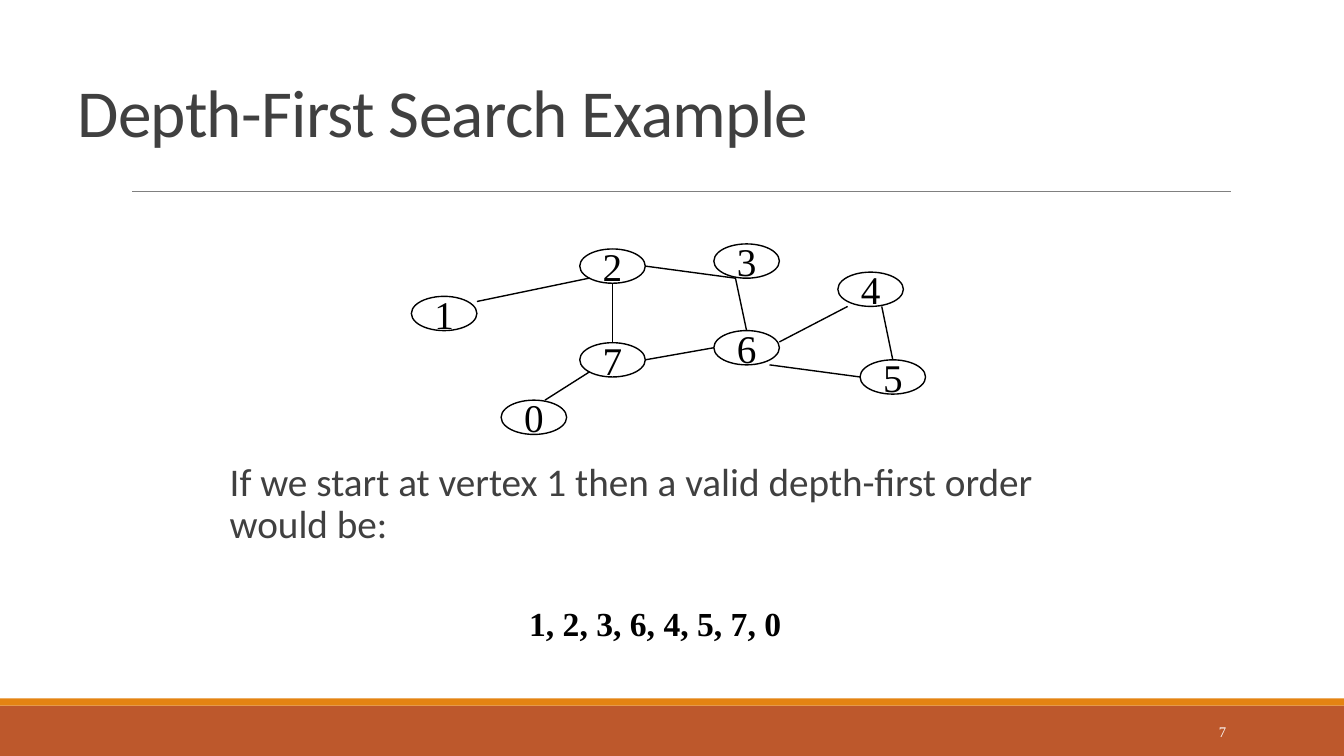
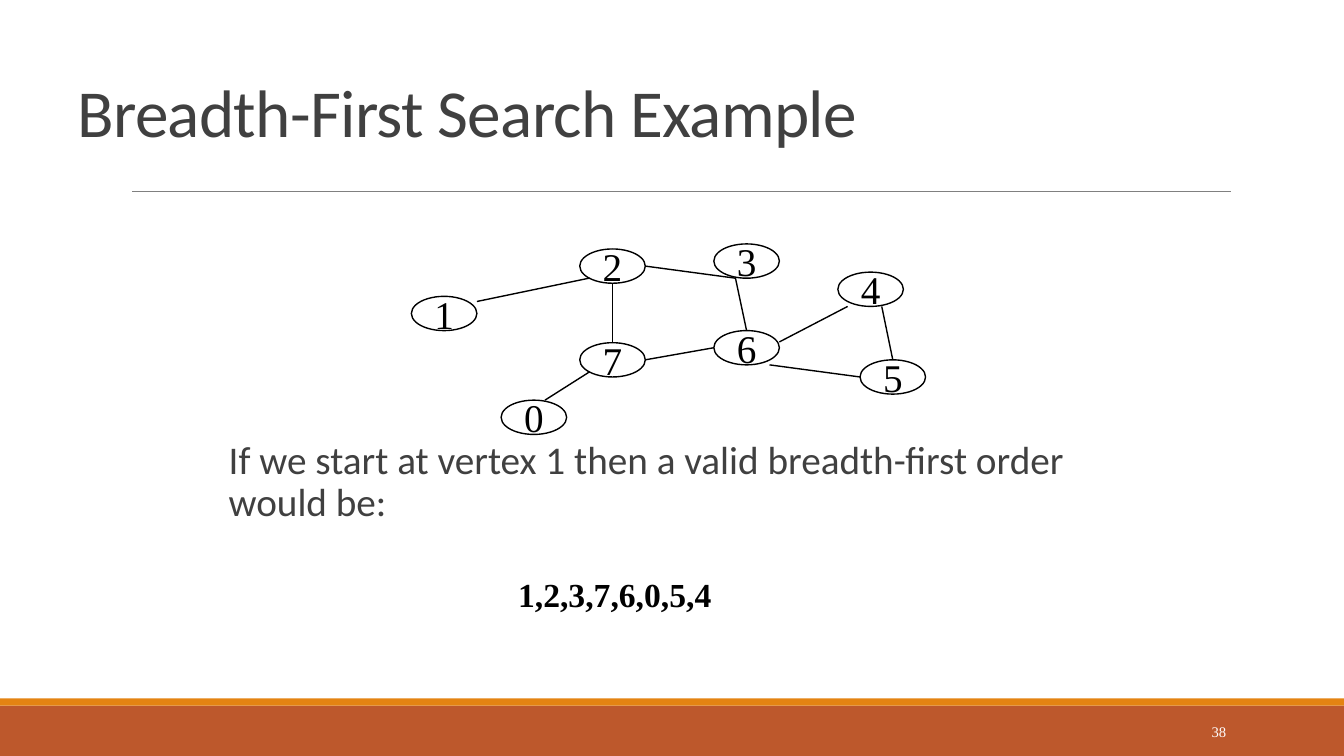
import dataclasses
import typing

import pptx
import pptx.dml.color
import pptx.enum.shapes
import pptx.enum.text
import pptx.oxml.ns
import pptx.util
from lxml import etree

Inches = pptx.util.Inches
Pt = pptx.util.Pt
Shapes = pptx.enum.shapes.MSO_SHAPE
Anchor = pptx.enum.text.MSO_ANCHOR
Align = pptx.enum.text.PP_ALIGN

SANS = "Calibri"
SERIF = "Times New Roman"
BLACK = "000000"
WHITE = "FFFFFF"
DARK = "404040"
RULE = "808080"
RUST = "BD582C"
ORANGE = "E48312"

SLIDE_W, SLIDE_H = 13.33, 7.5
NODE_W, NODE_H = 0.65, 0.34


@dataclasses.dataclass(frozen=True)
class Box:
    left: float
    top: float
    width: float
    height: float

    def lengths(self) -> tuple:
        return tuple(Inches(v) for v in (self.left, self.top, self.width, self.height))

    def at(self, fx: float, fy: float) -> tuple[float, float]:
        return self.left + fx * self.width, self.top + fy * self.height


@dataclasses.dataclass(frozen=True)
class Style:
    size: float
    font: str
    color: str
    bold: bool = False
    align: Align = Align.LEFT
    anchor: Anchor = Anchor.TOP
    line_spacing: float = 1.0
    tracking: float = 0
    wrap: bool = True


@dataclasses.dataclass(frozen=True)
class Edge:
    start: str
    start_at: tuple[float, float]
    end: str
    end_at: tuple[float, float]


@dataclasses.dataclass(frozen=True)
class SearchSlide:
    title: str
    number: str
    prompt: str
    prompt_box: Box
    order: str
    order_box: Box
    order_level: int


TITLE = Style(48, SANS, DARK, anchor=Anchor.BOTTOM, line_spacing=0.85, tracking=-0.5)
PROMPT = Style(28, SANS, DARK, line_spacing=0.9)
ORDER = Style(24, SERIF, BLACK, bold=True, wrap=False)
NUMBER = Style(10.5, SERIF, WHITE, align=Align.RIGHT, anchor=Anchor.MIDDLE)
NODE = Style(28, SERIF, BLACK, align=Align.CENTER, anchor=Anchor.MIDDLE, wrap=False)

NODES = {
    label: Box(left, top, NODE_W, NODE_H)
    for label, left, top in (
        ("2", 5.75, 2.47),
        ("5", 8.53, 3.57),
        ("3", 7.08, 2.42),
        ("0", 4.97, 3.97),
        ("6", 7.08, 3.28),
        ("4", 8.31, 2.7),
        ("7", 5.75, 3.4),
        ("1", 4.08, 2.94),
    )
}

TOP, LEFT, BOTTOM, RIGHT = (0.5, 0), (0, 0.5), (0.5, 1), (1, 0.5)
LOWER_LEFT = (0.15, 0.85)

EDGES = (
    Edge("1", (1, 0.15), "2", LOWER_LEFT),
    Edge("2", BOTTOM, "7", TOP),
    Edge("7", RIGHT, "6", LEFT),
    Edge("0", (0.67, 0), "7", LOWER_LEFT),
    Edge("3", (0.33, 1), "2", RIGHT),
    Edge("3", (0.33, 1), "6", TOP),
    Edge("4", (0.15, 1), "6", (1, 0.33)),
    Edge("4", (0.67, 1), "5", TOP),
    Edge("6", (0.85, 1), "5", LEFT),
)

SLIDES = (
    SearchSlide(
        "Depth-First Search Example", "7",
        "If we start at vertex 1 then a valid depth-first order would be:",
        Box(2.18, 4.54, 9, 2.38),
        "1, 2, 3, 6, 4, 5, 7, 0", Box(4.15, 5.93, 3.74, 0.5), 2,
    ),
    SearchSlide(
        "Breadth-First Search Example", "38",
        "If we start at vertex 1 then a valid breadth-first order would be:",
        Box(2.17, 4.32, 9, 2.38),
        "1,2,3,7,6,0,5,4", Box(4.54, 5.64, 2.64, 0.5), 1,
    ),
)


def rgb(color: str) -> pptx.dml.color.RGBColor:
    return pptx.dml.color.RGBColor.from_string(color)


def write(sp: typing.Any, text: str, style: Style, level: int = 0) -> None:
    tf = sp.text_frame
    tf.word_wrap = style.wrap
    tf.vertical_anchor = style.anchor
    p = tf.paragraphs[0]
    p.alignment = style.align
    p.line_spacing = style.line_spacing
    if level:
        p.level = level
        pPr = p._p.get_or_add_pPr()
        pPr.set("marL", str(Inches(0.5 * level)))
        pPr.set("indent", "0")
    r = p.add_run()
    r.text = text
    r.font.size = Pt(style.size)
    r.font.name = style.font
    r.font.bold = style.bold
    r.font.color.rgb = rgb(style.color)
    if style.tracking:
        r._r.get_or_add_rPr().set("spc", str(int(style.tracking * 100)))


def add_text(slide: typing.Any, box: Box, text: str, style: Style, level: int = 0) -> None:
    write(slide.shapes.add_textbox(*box.lengths()), text, style, level)


def add_band(slide: typing.Any, box: Box, color: str) -> None:
    sp = slide.shapes.add_shape(Shapes.RECTANGLE, *box.lengths())
    sp.shadow.inherit = False
    sp.fill.solid()
    sp.fill.fore_color.rgb = rgb(color)
    sp.line.fill.background()


def add_line(
    shapes: typing.Any,
    start: tuple[float, float],
    end: tuple[float, float],
    color: str,
    width: float,
) -> None:
    line = shapes.add_connector(
        pptx.enum.shapes.MSO_CONNECTOR.STRAIGHT, *(Inches(v) for v in start + end)
    )
    line.line.color.rgb = rgb(color)
    line.line.width = Pt(width)
    etree.SubElement(line._element.spPr, pptx.oxml.ns.qn("a:effectLst"))


def add_node(shapes: typing.Any, label: str, box: Box) -> None:
    sp = shapes.add_shape(Shapes.OVAL, *box.lengths())
    sp.shadow.inherit = False
    sp.fill.background()
    sp.line.color.rgb = rgb(BLACK)
    sp.line.width = Pt(1)
    write(sp, label, NODE)


def add_graph(slide: typing.Any) -> None:
    shapes = slide.shapes.add_group_shape().shapes
    for label, box in NODES.items():
        add_node(shapes, label, box)
    for edge in EDGES:
        start = NODES[edge.start].at(*edge.start_at)
        end = NODES[edge.end].at(*edge.end_at)
        add_line(shapes, start, end, BLACK, 1)


def add_frame(slide: typing.Any, title: str, number: str) -> None:
    add_band(slide, Box(0, 7, SLIDE_W, 0.5), RUST)
    add_band(slide, Box(0, 6.93, SLIDE_W, 0.07), ORANGE)
    add_line(slide.shapes, (1.31, 1.9), (12.21, 1.9), RULE, 0.5)
    add_text(slide, Box(10.83, 7.06, 1.43, 0.4), number, NUMBER)
    add_text(slide, Box(0.67, 0.3, 12, 1.25), title, TITLE)


def add_search_slide(prs: typing.Any, content: SearchSlide) -> None:
    slide = prs.slides.add_slide(prs.slide_layouts[6])
    add_frame(slide, content.title, content.number)
    add_text(slide, content.prompt_box, content.prompt, PROMPT)
    add_graph(slide)
    add_text(slide, content.order_box, content.order, ORDER, content.order_level)


def main() -> None:
    prs = pptx.Presentation()
    prs.slide_width = Inches(SLIDE_W)
    prs.slide_height = Inches(SLIDE_H)
    for content in SLIDES:
        add_search_slide(prs, content)
    prs.save("out.pptx")


if __name__ == "__main__":
    main()
